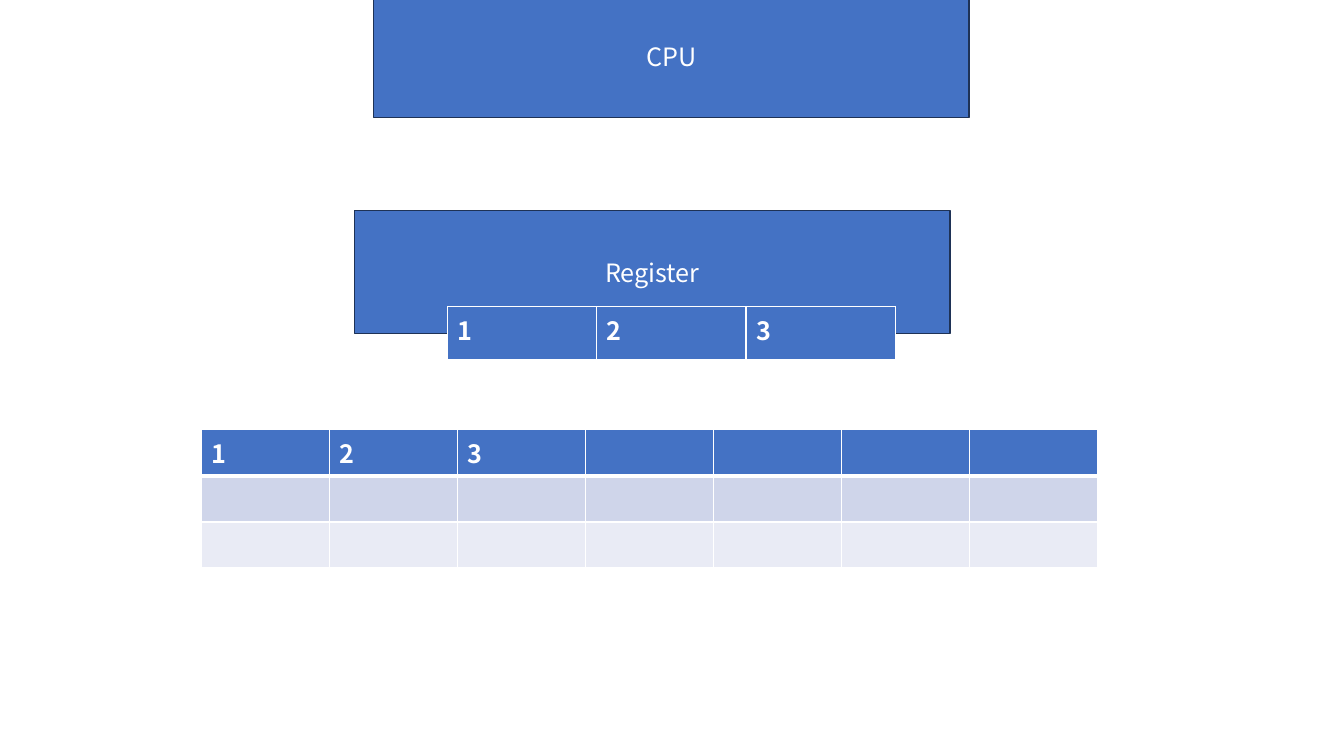
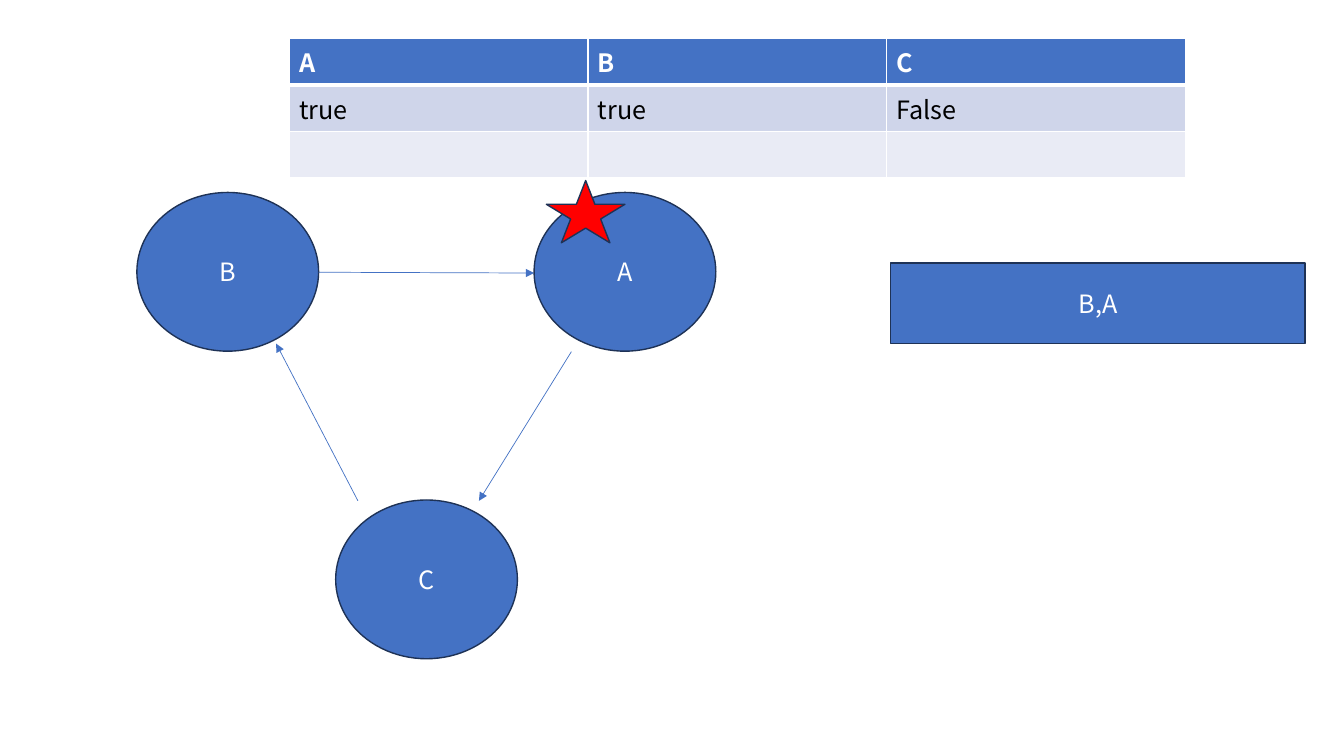
from dataclasses import dataclass

from lxml import etree
from pptx import Presentation
from pptx.dml.color import RGBColor
from pptx.enum.shapes import MSO_CONNECTOR, MSO_SHAPE
from pptx.enum.text import MSO_ANCHOR, PP_ALIGN
from pptx.oxml.ns import qn
from pptx.slide import Slide
from pptx.util import Cm, Pt

RECTANGLE = MSO_SHAPE.RECTANGLE
CIRCLE = MSO_SHAPE.FLOWCHART_CONNECTOR
STAR = MSO_SHAPE.STAR_5_POINT
STRAIGHT = MSO_CONNECTOR.STRAIGHT
MIDDLE = MSO_ANCHOR.MIDDLE
CENTER = PP_ALIGN.CENTER

# Shared look
FONT = "Noto Sans CJK KR"
TEXT_SIZE = 18
BLUE = "4472C4"
OUTLINE = "1E3256"
WHITE = "FFFFFF"
BLACK = "000000"
RED = "FF0000"
ROW_FILLS = (BLUE, "CFD5EA", "E9EBF5")
THIN, THICK = 1, 3

# Shared sizes in centimetres
BLOCK_SIZE = (15.0, 3.1)
NODE_SIZE = (4.58, 4.0)
WIDE_TABLE = 22.58
ROW_HEIGHT = 1.16


@dataclass(frozen=True)
class Box:
    left: float
    top: float
    width: float
    height: float
    text: str = ""
    kind: MSO_SHAPE = RECTANGLE
    fill: str = BLUE


@dataclass(frozen=True)
class Arrow:
    start: tuple[float, float]
    end: tuple[float, float]


@dataclass(frozen=True)
class Grid:
    left: float
    top: float
    width: float
    rows: tuple[tuple[str, ...], ...]
    row_height: float = ROW_HEIGHT


def color(value: str) -> RGBColor:
    return RGBColor.from_string(value)


def add_span(para, text: str, text_color: str, bold: bool = False) -> None:
    span = para.add_run()
    span.text = text
    span.font.name = FONT
    span.font.size = Pt(TEXT_SIZE)
    span.font.bold = bold
    span.font.color.rgb = color(text_color)


def draw_box(page: Slide, box: Box) -> None:
    shape = page.shapes.add_shape(
        box.kind, Cm(box.left), Cm(box.top), Cm(box.width), Cm(box.height))
    shape.shadow.inherit = False
    shape.fill.solid()
    shape.fill.fore_color.rgb = color(box.fill)
    shape.line.color.rgb = color(OUTLINE)
    shape.line.width = Pt(1)
    if box.text:
        frame = shape.text_frame
        frame.word_wrap = True
        frame.vertical_anchor = MIDDLE
        para = frame.paragraphs[0]
        para.alignment = CENTER
        add_span(para, box.text, WHITE)


def draw_arrow(page: Slide, arrow: Arrow) -> None:
    points = [Cm(value) for value in arrow.start + arrow.end]
    connector = page.shapes.add_connector(STRAIGHT, *points)
    connector.line.color.rgb = color(BLUE)
    connector.line.width = Pt(0.5)
    etree.SubElement(connector.line._get_or_add_ln(), qn("a:tailEnd"), type="triangle")
    etree.SubElement(connector._element.spPr, qn("a:effectLst"))


def add_borders(cell, top: float, bottom: float) -> None:
    properties = cell._tc.get_or_add_tcPr()
    for side, width in (("L", THIN), ("R", THIN), ("T", top), ("B", bottom)):
        line = etree.SubElement(properties, qn(f"a:ln{side}"), w=str(Pt(width)))
        fill = etree.SubElement(line, qn("a:solidFill"))
        etree.SubElement(fill, qn("a:srgbClr"), val=WHITE)


def draw_grid(page: Slide, grid: Grid) -> None:
    row_count, column_count = len(grid.rows), len(grid.rows[0])
    table = page.shapes.add_table(
        row_count, column_count, Cm(grid.left), Cm(grid.top),
        Cm(grid.width), Cm(grid.row_height * row_count)).table
    table.first_row = table.horz_banding = False
    for column in table.columns:
        column.width = Cm(grid.width / column_count)
    for row_index, texts in enumerate(grid.rows):
        table.rows[row_index].height = Cm(grid.row_height)
        header = row_index == 0
        for column_index, text in enumerate(texts):
            cell = table.cell(row_index, column_index)
            # The thick rule lies under the header row
            add_borders(cell, THICK if row_index == 1 else THIN, THICK if header else THIN)
            cell.fill.solid()
            cell.fill.fore_color.rgb = color(ROW_FILLS[row_index])
            if text:
                add_span(cell.text_frame.paragraphs[0], text,
                         WHITE if header else BLACK, bold=header)


DRAWERS = {Box: draw_box, Arrow: draw_arrow, Grid: draw_grid}

# Parts of each slide, from back to front
NUMBERS = ("1", "2", "3")
MEMORY_PAGE = (
    Grid(5.08, 10.82, WIDE_TABLE, (NUMBERS + ("",) * 4, ("",) * 7, ("",) * 7)),
    Box(8.94, 5.31, *BLOCK_SIZE, "Register"),
    Grid(11.28, 7.72, 11.28, (NUMBERS,), row_height=1.37),
    Box(9.42, -0.13, *BLOCK_SIZE, "CPU"),
)
CYCLE_PAGE = (
    Box(3.45, 4.85, *NODE_SIZE, "B", CIRCLE),
    Arrow((8.03, 6.86), (13.46, 6.88)),
    Box(13.46, 4.85, *NODE_SIZE, "A", CIRCLE),
    Arrow((14.4, 8.86), (12.07, 12.62)),
    Box(8.46, 12.6, *NODE_SIZE, "C", CIRCLE),
    Arrow((9.02, 12.62), (6.96, 8.66)),
    Grid(7.29, 0.97, WIDE_TABLE,
         (("A", "B", "C"), ("true", "true", "False"), ("",) * 3)),
    Box(22.45, 6.63, 10.44, 2.03, "B,A"),
    Box(13.77, 4.55, 1.98, 1.57, kind=STAR, fill=RED),
)


def main() -> None:
    deck = Presentation()
    deck.slide_width, deck.slide_height = Cm(33.87), Cm(19.05)
    blank = deck.slide_layouts[6]
    for parts in (MEMORY_PAGE, CYCLE_PAGE):
        page = deck.slides.add_slide(blank)
        for part in parts:
            DRAWERS[type(part)](page, part)
    deck.save("out.pptx")


if __name__ == "__main__":
    main()
